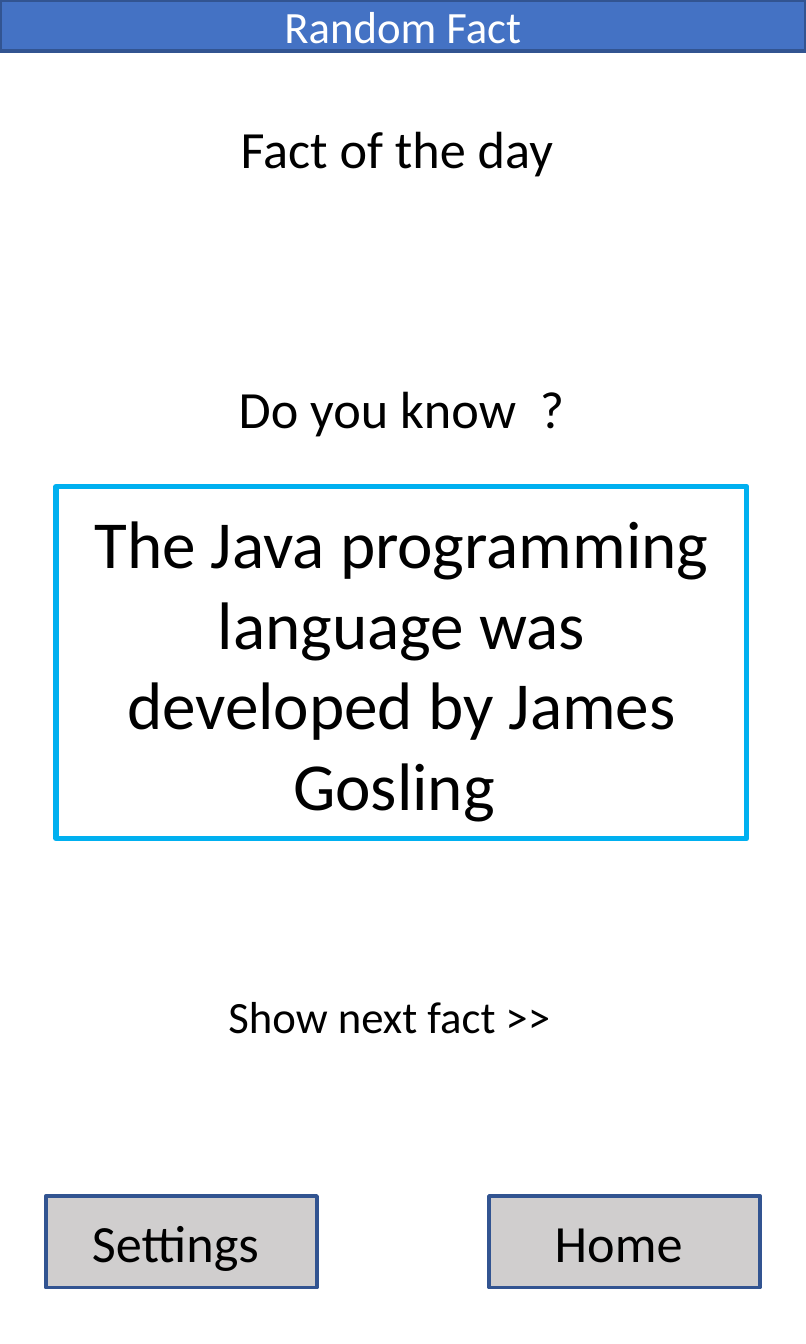
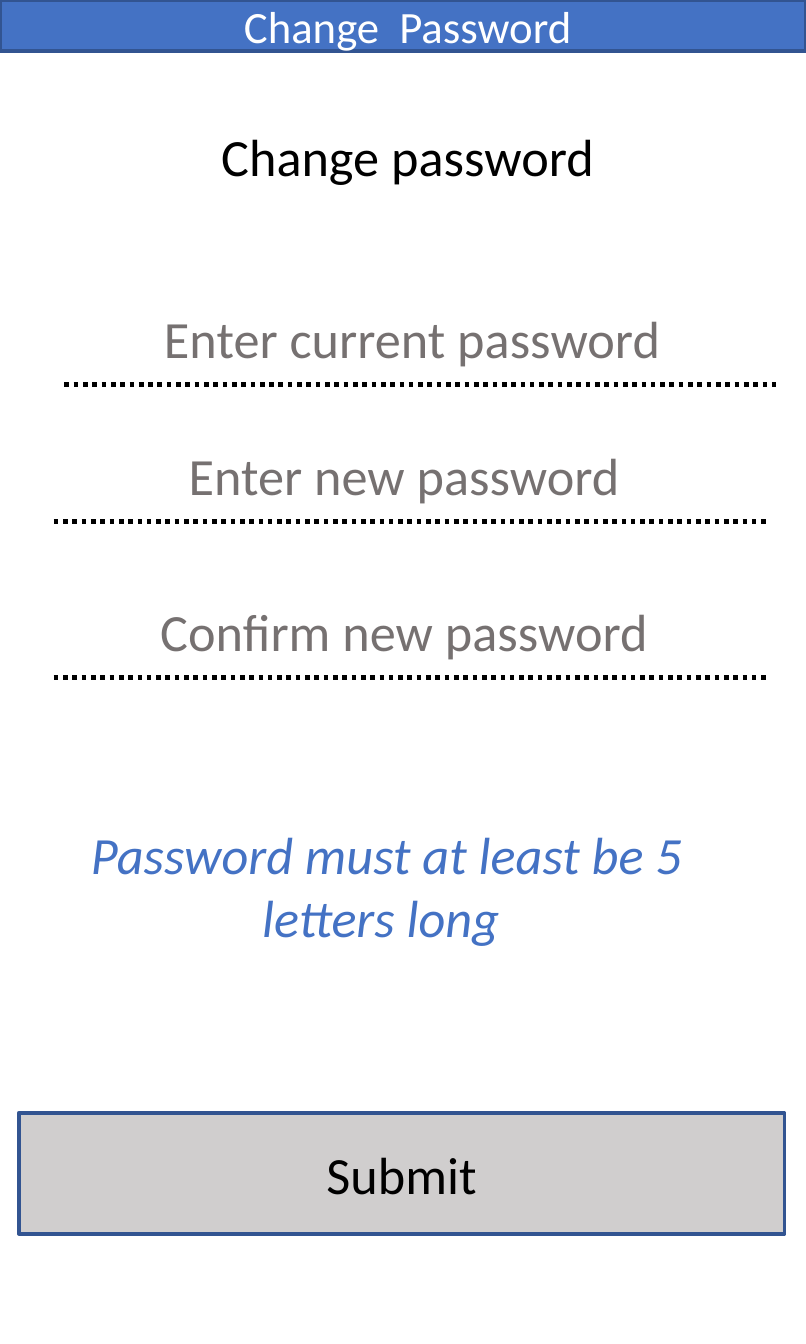
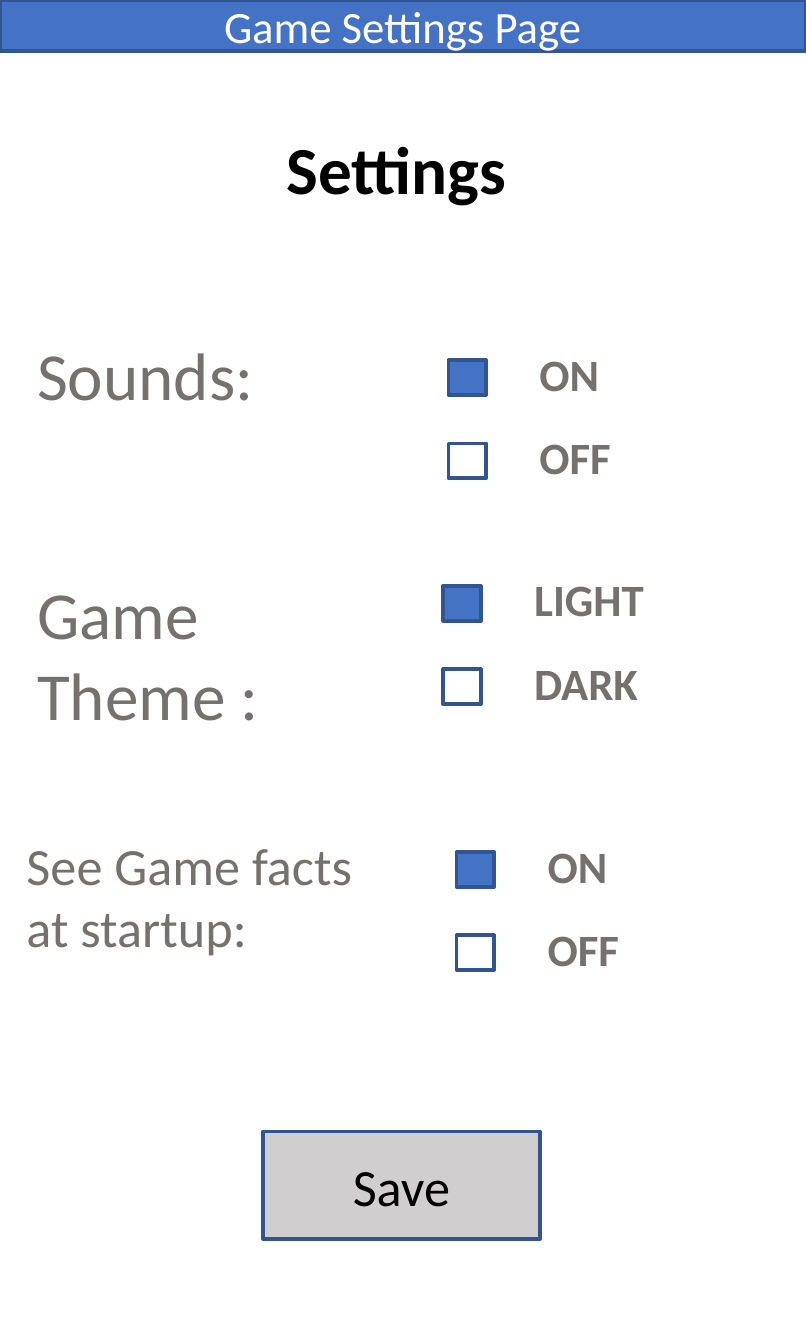
from dataclasses import dataclass

from lxml.etree import SubElement
from pptx import Presentation
from pptx.dml.color import RGBColor as RGB
from pptx.enum.dml import MSO_LINE
from pptx.enum.shapes import MSO_CONNECTOR, MSO_SHAPE
from pptx.enum.text import MSO_ANCHOR as ANCHOR, MSO_AUTO_SIZE as AUTO, PP_ALIGN as ALIGN
from pptx.oxml.ns import qn
from pptx.util import Inches, Pt


@dataclass(frozen=True)
class Theme:
    font: str = "Calibri"
    blue: RGB = RGB(0x44, 0x72, 0xC4)
    edge: RGB = RGB(0x32, 0x54, 0x91)
    cyan: RGB = RGB(0x00, 0xB0, 0xF0)
    button: RGB = RGB(0xD0, 0xCE, 0xCE)
    gray: RGB = RGB(0x76, 0x71, 0x71)
    black: RGB = RGB(0, 0, 0)
    white: RGB = RGB(255, 255, 255)
    small: int = 12
    medium: int = 14
    large: int = 18


T = Theme()
WIDTH, HEIGHT = 3, 5


def write(sp, lines, size, color, align=ALIGN.CENTER, anchor=ANCHOR.MIDDLE,
          bold=False, italic=False):
    tf = sp.text_frame
    tf.word_wrap = True
    tf.auto_size = AUTO.NONE
    tf.vertical_anchor = anchor
    for i, line in enumerate(lines):
        p = tf.add_paragraph() if i else tf.paragraphs[0]
        p.alignment = align
        r = p.add_run()
        r.text = line
        font = r.font
        font.name, font.size, font.color.rgb = T.font, Pt(size), color
        font.bold, font.italic = bold, italic


def add_text(s, box, *lines, size=T.medium, color=T.black, **style):
    sp = s.shapes.add_textbox(*map(Inches, box))
    write(sp, lines, size, color, anchor=ANCHOR.TOP, **style)


def add_rect(s, box, fill=None, line=T.edge, weight=1):
    sp = s.shapes.add_shape(MSO_SHAPE.RECTANGLE, *map(Inches, box))
    sp.shadow.inherit = False
    if fill is None:
        sp.fill.background()
    else:
        sp.fill.solid()
        sp.fill.fore_color.rgb = fill
    sp.line.color.rgb, sp.line.width = line, Pt(weight)
    return sp


def add_page(prs, band, heading, box, size=T.medium, bold=False):
    s = prs.slides.add_slide(prs.slide_layouts[5])
    title = s.shapes.title
    title.left, title.top, title.width, title.height = map(Inches, box)
    write(title, [heading], size, T.black, bold=bold)
    write(add_rect(s, (0, 0, WIDTH, 0.19), T.blue), [band], T.small, T.white)
    return s


def add_button(s, box, label):
    write(add_rect(s, box, T.button), [label], T.medium, T.black)


def add_field(s, box, prompt, indent):
    left, top, width, height = box
    add_text(s, box, prompt, color=T.gray)
    x, y = Inches(left + indent), Inches(top + height)
    rule = s.shapes.add_connector(MSO_CONNECTOR.STRAIGHT, x, y, x + Inches(2.66), y)
    rule.line.color.rgb, rule.line.width = T.black, Pt(1.25)
    rule.line.dash_style = MSO_LINE.ROUND_DOT
    SubElement(rule._element.spPr, qn("a:effectLst"))


def add_choices(s, box, labels):
    left, top, width, pitch = box
    for i, (label, fill) in enumerate(zip(labels, (T.blue, T.white))):
        y = top + i * pitch
        add_rect(s, (left, y, 0.14, 0.13), fill)
        add_text(s, (left + 0.24, y - 0.1, width - 0.24, 0.3), label,
                 size=T.small, color=T.gray, align=ALIGN.LEFT, bold=True)


def fact_page(prs):
    s = add_page(prs, "Random Fact", "Fact of the day ", (0, 0.38, WIDTH, 0.34))
    add_text(s, (0.27, 1.35, 2.45, 0.34), "Do you know  ?")
    fact = add_rect(s, (0.21, 1.81, 2.57, 1.31), line=T.cyan, weight=1.5)
    write(fact, ["The Java programming language was developed by James Gosling "],
          T.large, T.black)
    add_text(s, (0.51, 3.63, 1.88, 0.3), "Show next fact >>", size=T.small)
    for left, label in ((0.17, "Settings "), (1.82, "Home ")):
        add_button(s, (left, 4.45, 1.01, 0.34), label)


def password_page(prs):
    s = add_page(prs, " Change  Password", "Change password ", (0.04, 0.41, WIDTH, 0.34))
    for left, top, indent, prompt in (
        (0.17, 1.09, 0.07, "Enter current password"),
        (0.14, 1.6, 0.06, "Enter new password"),
        (0.14, 2.18, 0.06, "Confirm new password"),
    ):
        add_field(s, (left, top, 2.73, 0.34), prompt, indent)
    add_text(s, (0.11, 3.01, 2.66, 0.57), "Password must at least be 5 letters long ",
             color=T.blue, italic=True)
    add_button(s, (0.07, 4.14, 2.85, 0.45), "Submit")


def settings_page(prs):
    s = add_page(prs, " Game Settings Page ", "Settings ", (0.24, 0.41, 2.53, 0.43),
                 T.large, bold=True)
    for box, lines, size, choice_box, labels in (
        ((0.04, 1.19, 1.32, 0.4), ["Sounds: "], T.large,
         (1.67, 1.34, 0.8, 0.31), ("ON ", "OFF ")),
        ((0.04, 2.08, 1.16, 0.71), ["Game Theme :"], T.large,
         (1.65, 2.18, 1.04, 0.31), ("LIGHT ", "DARK ")),
        ((0, 3.05, 1.59, 0.57), ["See Game facts ", "at startup: "], T.medium,
         (1.7, 3.17, 0.8, 0.31), ("ON ", "OFF ")),
    ):
        add_text(s, box, *lines, size=size, color=T.gray, align=ALIGN.LEFT)
        add_choices(s, choice_box, labels)
    add_button(s, (0.98, 4.21, 1.03, 0.4), "Save")


prs = Presentation()
prs.slide_width, prs.slide_height = Inches(WIDTH), Inches(HEIGHT)
for build in (fact_page, password_page, settings_page):
    build(prs)
prs.save("out.pptx")
